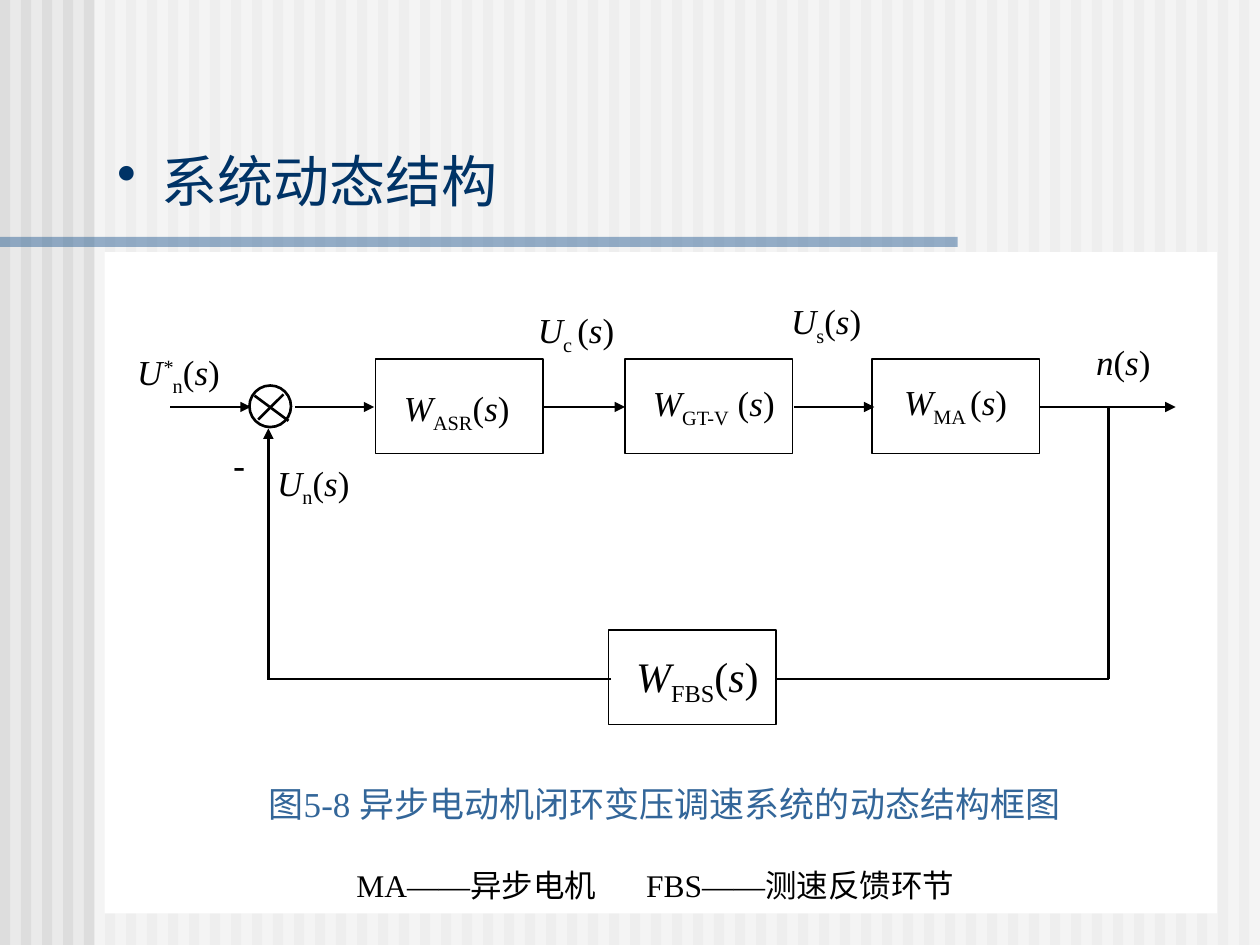
from dataclasses import dataclass

from lxml.etree import SubElement
from pptx import Presentation
from pptx.dml.color import RGBColor
from pptx.enum.shapes import MSO_CONNECTOR, MSO_SHAPE
from pptx.enum.text import MSO_ANCHOR, MSO_AUTO_SIZE, PP_ALIGN
from pptx.oxml.ns import qn
from pptx.util import Inches, Pt


@dataclass(frozen=True)
class Theme:
    serif: str = "Times New Roman"
    sans: str = "DejaVu Sans"
    background: RGBColor = RGBColor(0xEA, 0xEA, 0xEA)
    stripe: RGBColor = RGBColor(0xDD, 0xDD, 0xDD)
    white: RGBColor = RGBColor(0xFF, 0xFF, 0xFF)
    ink: RGBColor = RGBColor(0, 0, 0)
    navy: RGBColor = RGBColor(0x00, 0x33, 0x66)
    accent: RGBColor = RGBColor(0x33, 0x66, 0x99)
    title_size: int = 32
    feedback_size: int = 24
    label_size: int = 20
    legend_size: int = 18


THEME = Theme()
SIGNAL_Y = 3.23
RETURN_Y = 5.39
BLOCK_SIZE = (1.33, 0.75)


def set_values(target, values):
    for name, value in values.items():
        setattr(target, name, value)


def add_run(paragraph, text, size=THEME.label_size, name=THEME.serif,
            color=THEME.ink, italic=False, baseline=0):
    run = paragraph.add_run()
    run.text = text
    set_values(run.font, {"size": Pt(size), "name": name, "italic": italic})
    run.font.color.rgb = color
    if baseline:
        run._r.get_or_add_rPr().set("baseline", str(baseline * 1000))


def add_panel(group, box, fill=None, outline=None, shape=MSO_SHAPE.RECTANGLE, opacity=100):
    """Draw a plain shape; box is left, top, width, height in inches."""
    panel = group.shapes.add_shape(shape, *map(Inches, box))
    panel.shadow.inherit = False
    if fill is None:
        panel.fill.background()
    else:
        panel.fill.solid()
        panel.fill.fore_color.rgb = fill
    if opacity < 100:
        color = panel._element.spPr.find(qn("a:solidFill"))[0]
        SubElement(color, qn("a:alpha"), val=str(opacity * 1000))
    if outline is None:
        panel.line.fill.background()
    else:
        panel.line.color.rgb = THEME.ink
        panel.line.width = Pt(outline)


def add_wire(group, start, end, arrow=False):
    wire = group.shapes.add_connector(MSO_CONNECTOR.STRAIGHT, *map(Inches, start + end))
    wire.line.color.rgb = THEME.ink
    wire.line.width = Pt(1.5)
    properties = wire._element.spPr
    if arrow:
        SubElement(properties.find(qn("a:ln")), qn("a:tailEnd"), type="triangle")
    SubElement(properties, qn("a:effectLst"))


def add_text_frame(group, box):
    frame = group.shapes.add_textbox(*map(Inches, box)).text_frame
    frame.word_wrap = True
    return frame


def add_formula(group, box, symbol, subscript="", superscript="", opening="(",
                size=THEME.label_size, align=PP_ALIGN.LEFT):
    """Write a transfer function or signal of s, such as U*n(s)."""
    paragraph = add_text_frame(group, box).paragraphs[0]
    paragraph.alignment = align
    parts = [(symbol, True, 0), (superscript, True, 30), (subscript, False, -25),
             (opening, False, 0), ("s", True, 0), (")", False, 0)]
    for text, italic, baseline in parts:
        if text:
            add_run(paragraph, text, size, italic=italic, baseline=baseline)


def add_backdrop(slide):
    slide.background.fill.solid()
    slide.background.fill.fore_color.rgb = THEME.background
    backdrop = slide.shapes.add_group_shape()
    for column in range(60):
        add_panel(backdrop, (column / 6, 0, 0.08, 7.5), THEME.stripe)
    add_panel(backdrop, (0.75, 0, 9.25, 7.5), THEME.white, opacity=50)
    add_panel(backdrop, (0, 1.88, 7.6, 0.08), THEME.accent, opacity=50)


def add_title(slide):
    title = slide.shapes.title
    slide.shapes._spTree.append(title._element)  # in front of the backdrop
    set_values(title, {"left": Inches(0.83), "top": Inches(1.11),
                       "width": Inches(8.93), "height": Inches(0.64)})
    frame = title.text_frame
    set_values(frame, {"vertical_anchor": MSO_ANCHOR.BOTTOM,
                       "auto_size": MSO_AUTO_SIZE.NONE, "word_wrap": True})
    paragraph = frame.paragraphs[0]
    paragraph.alignment = PP_ALIGN.LEFT
    properties = paragraph._p.get_or_add_pPr()
    set_indent = {"marL": Inches(0.35), "indent": -Inches(0.35)}
    for name, value in set_indent.items():
        properties.set(name, str(value))
    bullet_color = SubElement(properties, qn("a:buClr"))
    SubElement(bullet_color, qn("a:srgbClr"), val=str(THEME.navy))
    SubElement(properties, qn("a:buChar"), char="•")
    add_run(paragraph, "系统动态结构", THEME.title_size, color=THEME.navy)


def add_caption(group):
    frame = add_text_frame(group, (1.93, 6.08, 6.69, 1.11))
    caption, legend = frame.paragraphs[0], frame.add_paragraph()
    set_values(caption, {"alignment": PP_ALIGN.CENTER, "line_spacing": Pt(30)})
    add_run(caption, "图5-8 ", color=THEME.accent)
    add_run(caption, "异步电动机闭环变压调速系统的动态结构框图",
            name=THEME.sans, color=THEME.accent)

    set_values(legend, {"alignment": PP_ALIGN.LEFT, "line_spacing": Pt(30),
                        "space_before": Pt(15)})
    tabs = SubElement(legend._p.get_or_add_pPr(), qn("a:tabLst"))
    for position in (0.8, 3.1):
        SubElement(tabs, qn("a:tab"), pos=str(Inches(position)), algn="l")
    add_run(legend, "\tMA——异步电机\tFBS——测速反馈环节", THEME.legend_size)


def add_blocks(group):
    for left, top in [(4.83, 5), (2.98, 2.85), (4.96, 2.85), (6.92, 2.85)]:
        add_panel(group, (left, top, *BLOCK_SIZE), THEME.white, outline=0.75)
    centered = {"align": PP_ALIGN.CENTER}
    add_formula(group, (4.81, 5.11, 1.45, 0.56), "W", "FBS",
                size=THEME.feedback_size, **centered)
    add_formula(group, (2.99, 3.02, 1.27, 0.48), "W", "ASR", **centered)
    add_formula(group, (4.94, 2.98, 1.45, 0.48), "W", "GT-V", opening=" (", **centered)
    add_formula(group, (6.95, 2.97, 1.27, 0.48), "W", "MA ", **centered)


def add_summing_point(group):
    add_panel(group, (1.98, 3.06, 0.33, 0.33), outline=1.5, shape=MSO_SHAPE.OVAL)
    add_wire(group, (2.02, 3.14), (2.29, 3.34))
    add_wire(group, (2.05, 3.33), (2.25, 3.13))
    minus = add_text_frame(group, (1.75, 3.48, 0.39, 0.44)).paragraphs[0]
    add_run(minus, "-", name=THEME.sans)


def add_signals(group):
    forward = [(1.35, 1.99), (2.34, 2.97), (4.32, 4.96), (6.3, 6.94), (8.25, 9.33)]
    for start, end in forward:
        add_wire(group, (start, SIGNAL_Y), (end, SIGNAL_Y), arrow=True)
    add_wire(group, (8.8, SIGNAL_Y), (8.8, RETURN_Y))
    add_wire(group, (8.8, RETURN_Y), (6.17, RETURN_Y))
    add_wire(group, (4.85, RETURN_Y), (2.12, RETURN_Y))
    add_wire(group, (2.13, RETURN_Y), (2.13, 3.4), arrow=True)

    add_formula(group, (0.99, 2.73, 1.09, 0.48), "U", "n", superscript="*")
    add_formula(group, (2.1, 3.61, 1.18, 0.48), "U", "n")
    add_formula(group, (4.17, 2.4, 1, 0.48), "U", "c ")
    add_formula(group, (6.18, 2.33, 1, 0.48), "U", "s")
    add_formula(group, (8.6, 2.65, 0.82, 0.44), "n")


def main():
    deck = Presentation()
    set_values(deck, {"slide_width": Inches(10), "slide_height": Inches(7.5)})
    slide = deck.slides.add_slide(deck.slide_layouts[5])
    add_backdrop(slide)
    add_title(slide)
    diagram = slide.shapes.add_group_shape()
    add_panel(diagram, (0.83, 2, 8.83, 5.25), THEME.white)
    add_caption(diagram)
    add_blocks(diagram)
    add_summing_point(diagram)
    add_signals(diagram)
    deck.save("out.pptx")


if __name__ == "__main__":
    main()
